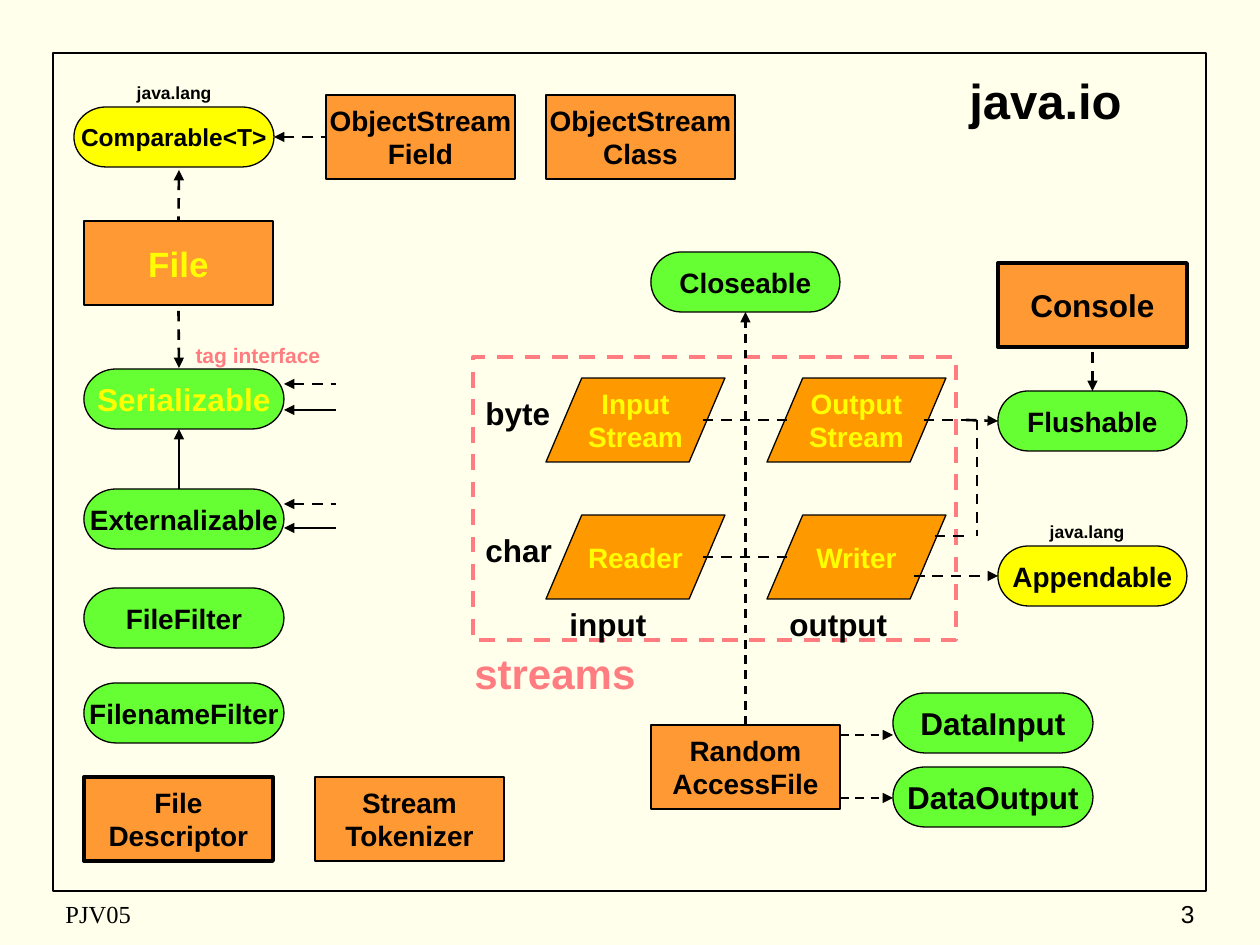
from lxml import etree
from pptx import Presentation
from pptx.dml.color import RGBColor
from pptx.enum.dml import MSO_LINE
from pptx.enum.shapes import MSO_CONNECTOR, MSO_SHAPE
from pptx.enum.text import MSO_ANCHOR, PP_ALIGN
from pptx.oxml.ns import qn
from pptx.util import Pt

EMU_PER_PX = 914400 / 126
BLACK, YELLOW, PINK = "000000", "FFFF00", "FF7C80"
ORANGE, AMBER, GREEN = "FF9933", "FF9900", "66FF33"


def px(*lengths):
    return [round(length * EMU_PER_PX) for length in lengths]


def write(shape, text, size=16, color=BLACK, font="Arial", bold=True,
          align=PP_ALIGN.CENTER, anchor=MSO_ANCHOR.MIDDLE, wrap=False):
    frame = shape.text_frame
    frame.word_wrap = wrap
    frame.vertical_anchor = anchor
    frame.text = text
    for paragraph in frame.paragraphs:
        paragraph.alignment = align
        paragraph.font.name = font
        paragraph.font.size = Pt(size)
        paragraph.font.bold = bold
        paragraph.font.color.rgb = RGBColor.from_string(color)


presentation = Presentation()
presentation.slide_width, presentation.slide_height = px(1260, 945)
slide = presentation.slides.add_slide(presentation.slide_layouts[6])
slide.background.fill.solid()
slide.background.fill.fore_color.rgb = RGBColor.from_string("FFFFEB")

# Slide frame and streams region
regions = [
    (53, 53, 1153, 838, BLACK, 1, MSO_LINE.SOLID),
    (473, 357, 483, 283, PINK, 2.25, MSO_LINE.DASH),
]
for left, top, width, height, color, weight, dash in regions:
    region = slide.shapes.add_shape(MSO_SHAPE.RECTANGLE, *px(left, top, width, height))
    region.shadow.inherit = False
    region.fill.background()
    region.line.color.rgb = RGBColor.from_string(color)
    region.line.width = Pt(weight)
    region.line.dash_style = dash

# Classes, streams and interfaces: outline, width, height
CLASS = (MSO_SHAPE.FLOWCHART_PROCESS, 189, 84)
STREAM = (MSO_SHAPE.FLOWCHART_DATA, 179, 84)
INTERFACE = (MSO_SHAPE.FLOWCHART_TERMINATOR, 200, 60)
SHORT_INTERFACE = (MSO_SHAPE.FLOWCHART_TERMINATOR, 189, 60)

# Kind, left, top, text, fill, text size, text colour, line width
types = [
    (STREAM, 546, 378, "Input\nStream", AMBER, 16, YELLOW, 0.75),
    (STREAM, 767, 378, "Output\nStream", AMBER, 16, YELLOW, 0.75),
    (STREAM, 546, 515, "Reader", AMBER, 16, YELLOW, 0.75),
    (STREAM, 767, 515, "Writer", AMBER, 16, YELLOW, 0.75),
    (CLASS, 326, 95, "ObjectStream\nField", ORANGE, 16, BLACK, 0.75),
    (CLASS, 546, 95, "ObjectStream\nClass", ORANGE, 16, BLACK, 0.75),
    (CLASS, 84, 221, "File", ORANGE, 20, YELLOW, 0.75),
    (CLASS, 651, 725, "Random\nAccessFile", ORANGE, 16, BLACK, 0.75),
    (CLASS, 315, 777, "Stream\nTokenizer", ORANGE, 16, BLACK, 0.75),
    (CLASS, 84, 777, "File\nDescriptor", ORANGE, 16, BLACK, 2.25),
    (CLASS, 998, 263, "Console", ORANGE, 18, BLACK, 2.25),
    (INTERFACE, 74, 107, "Comparable<T>", YELLOW, 14, BLACK, 0.75),
    (INTERFACE, 84, 369, "Serializable", GREEN, 18, YELLOW, 0.75),
    (INTERFACE, 84, 489, "Externalizable", GREEN, 16, BLACK, 0.75),
    (INTERFACE, 84, 588, "FileFilter", GREEN, 16, BLACK, 0.75),
    (INTERFACE, 84, 683, "FilenameFilter", GREEN, 16, BLACK, 0.75),
    (INTERFACE, 893, 693, "DataInput", GREEN, 18, BLACK, 0.75),
    (INTERFACE, 893, 767, "DataOutput", GREEN, 18, BLACK, 0.75),
    (SHORT_INTERFACE, 651, 252, "Closeable", GREEN, 16, BLACK, 0.75),
    (SHORT_INTERFACE, 998, 391, "Flushable", GREEN, 16, BLACK, 0.75),
    (SHORT_INTERFACE, 998, 546, "Appendable", YELLOW, 16, BLACK, 0.75),
]
shapes = {}
for (outline, width, height), left, top, text, fill, size, color, weight in types:
    shape = slide.shapes.add_shape(outline, *px(left, top, width, height))
    shape.shadow.inherit = False
    shape.fill.solid()
    shape.fill.fore_color.rgb = RGBColor.from_string(fill)
    shape.line.color.rgb = RGBColor.from_string(BLACK)
    shape.line.width = Pt(weight)
    write(shape, text, size, color)
    shapes[text.replace("\n", "")] = shape

# Title, labels and footer
label = {"align": PP_ALIGN.LEFT, "anchor": MSO_ANCHOR.TOP, "size": 18}
package = {"anchor": MSO_ANCHOR.TOP, "size": 10}
texts = [
    (872, 63, 347, 74, "java.io", {"size": 28}),
    (473, 388, 95, 63, "byte", label),
    (473, 525, 105, 63, "char", label),
    (557, 599, 158, 53, "input", label),
    (777, 599, 158, 53, "output", label),
    (462, 641, 200, 63, "streams", {**label, "size": 24, "color": PINK}),
    (95, 76, 158, 34, "java.lang", package),
    (1008, 515, 158, 34, "java.lang", package),
    (158, 336, 200, 38, "tag interface", {**package, "size": 12, "color": PINK}),
    (53, 893, 399, 42, "PJV05",
     {"size": 14, "font": "Times New Roman", "bold": False, "align": PP_ALIGN.LEFT}),
    (945, 893, 262, 42, "3", {"size": 14, "bold": False, "align": PP_ALIGN.RIGHT}),
]
for left, top, width, height, text, style in texts:
    text_box = slide.shapes.add_textbox(*px(left, top, width, height))
    write(text_box, text, wrap=True, **style)

# Relations: start, end, line width, dash, arrowhead end, joined start, joined end
DASH, SOLID = MSO_LINE.DASH, MSO_LINE.SOLID
TOP, LEFT, BOTTOM, RIGHT = range(4)
relations = [
    (179, 170, 179, 221, 1.5, DASH, "headEnd", None, ("File", TOP)),
    (179, 368, 179, 305, 1.5, DASH, "headEnd", None, ("File", BOTTOM)),
    (179, 429, 179, 489, 1.5, SOLID, "headEnd", None, None),
    (274, 137, 326, 137, 1.5, DASH, "headEnd",
     ("Comparable<T>", RIGHT), ("ObjectStreamField", LEFT)),
    (1092, 391, 1092, 347, 1.5, DASH, "headEnd", ("Flushable", TOP), ("Console", BOTTOM)),
    (745, 725, 745, 312, 1.25, DASH, "tailEnd",
     ("RandomAccessFile", TOP), ("Closeable", BOTTOM)),
    (840, 735, 893, 735, 1.25, DASH, "tailEnd", None, None),
    (840, 798, 893, 798, 1.25, DASH, "tailEnd", None, None),
    (703, 420, 788, 420, 1.5, DASH, None, None, None),
    (703, 557, 788, 557, 1.5, DASH, None, None, None),
    (924, 420, 966, 420, 1.5, DASH, None, None, None),
    (966, 420, 998, 421, 1.5, DASH, "tailEnd", None, ("Flushable", LEFT)),
    (977, 420, 977, 536, 1.5, DASH, None, None, None),
    (935, 536, 966, 536, 1.5, DASH, None, None, None),
    (914, 576, 998, 576, 1.5, DASH, "tailEnd", None, ("Appendable", LEFT)),
]
for y, dash in [(384, DASH), (410, SOLID), (504, DASH), (528, SOLID)]:
    relations.append((284, y, 336, y, 1.5, dash, "headEnd", None, None))

for x1, y1, x2, y2, weight, dash, arrow_end, start, end in relations:
    connector = slide.shapes.add_connector(MSO_CONNECTOR.STRAIGHT, *px(x1, y1, x2, y2))
    connector.line.color.rgb = RGBColor.from_string(BLACK)
    connector.line.width = Pt(weight)
    connector.line.dash_style = dash
    if start:
        connector.begin_connect(shapes[start[0]], start[1])
    if end:
        connector.end_connect(shapes[end[0]], end[1])
    if arrow_end:
        line = connector.line._get_or_add_ln()
        etree.SubElement(line, qn(f"a:{arrow_end}"), type="triangle")
    etree.SubElement(connector._element.spPr, qn("a:effectLst"))

presentation.save("out.pptx")
